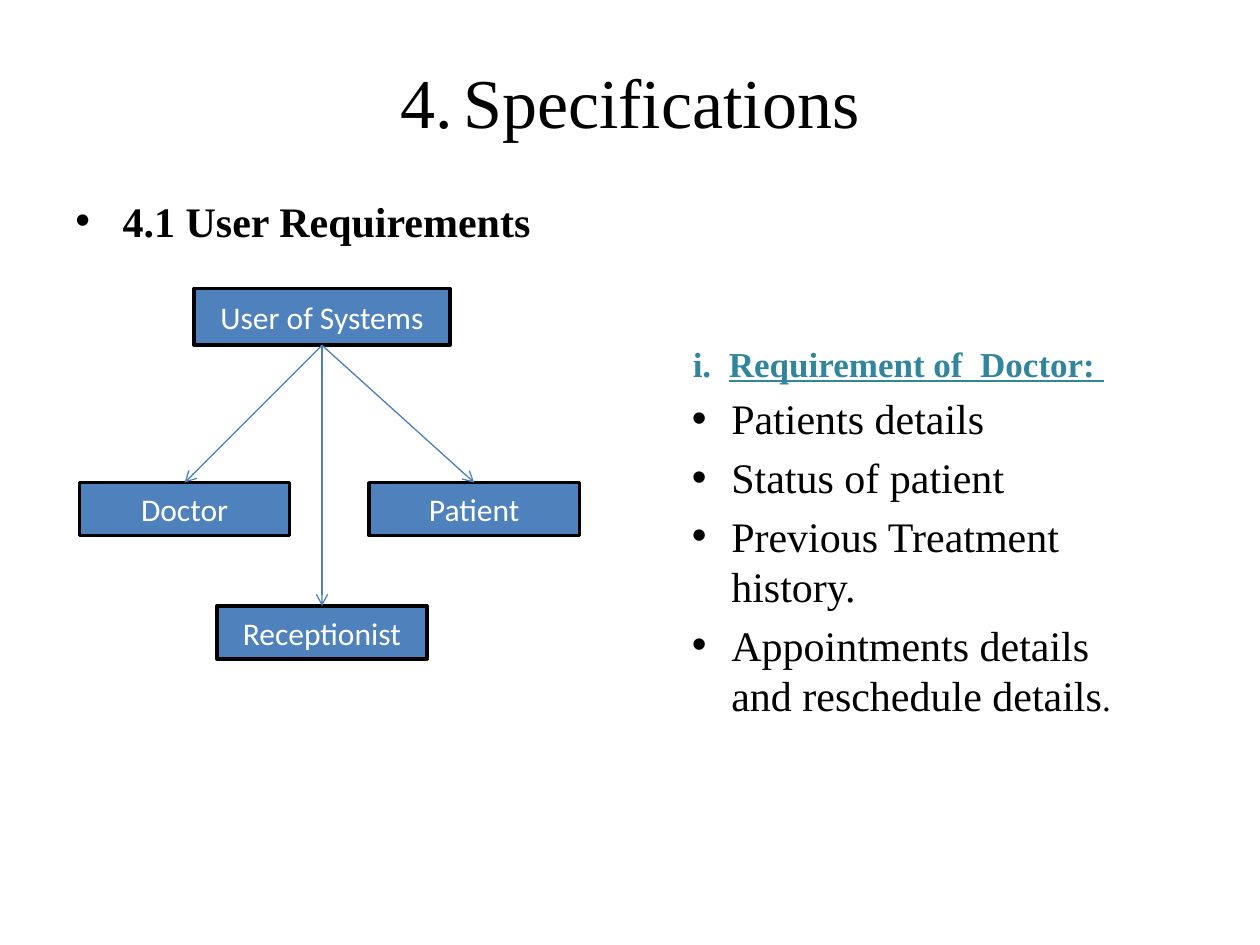
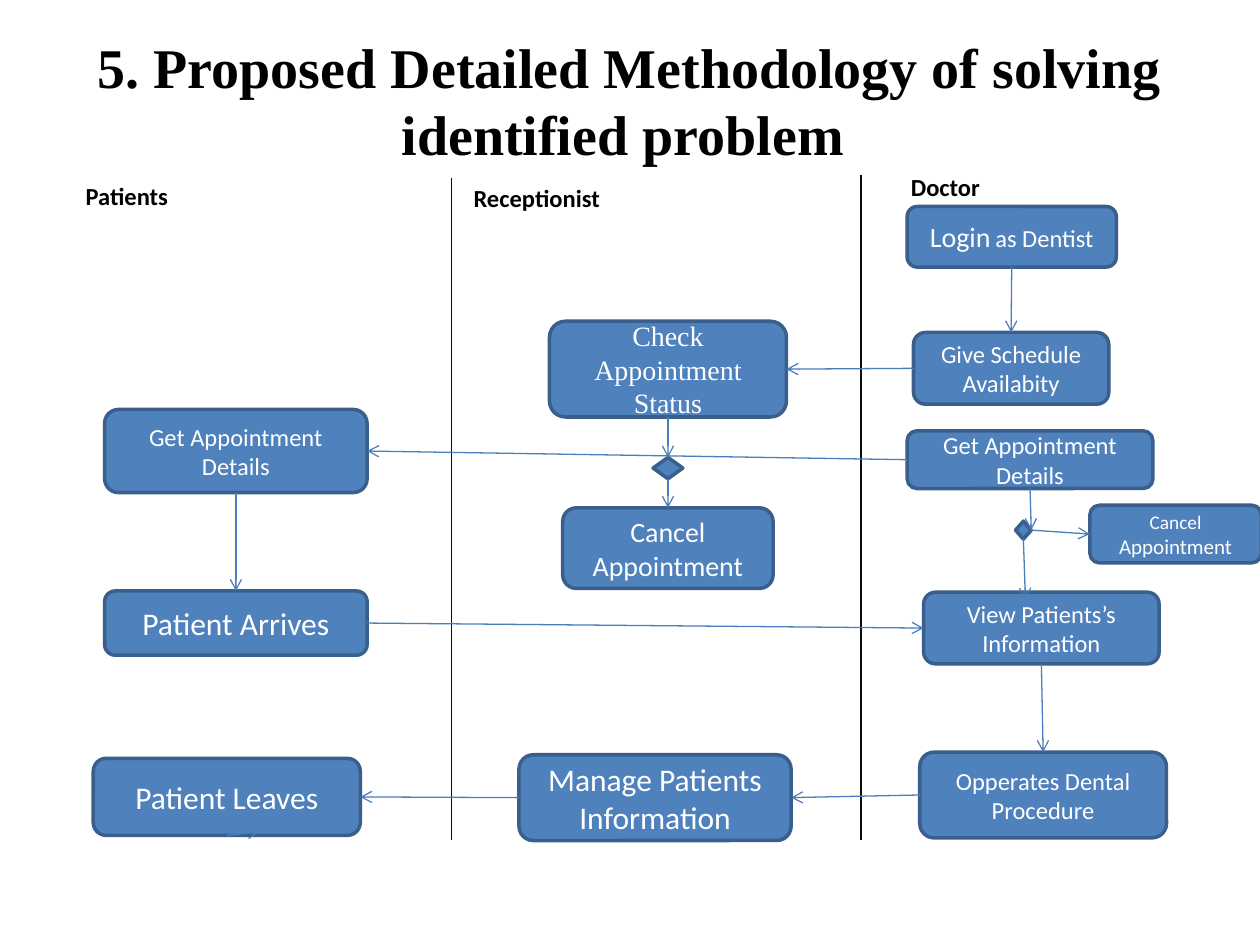
import pptx
import pptx.dml.color
import pptx.enum.shapes
import pptx.enum.text
import pptx.oxml
import pptx.oxml.ns
import pptx.util
from dataclasses import dataclass

Pt = pptx.util.Pt
Kind = pptx.enum.shapes.MSO_SHAPE
Align = pptx.enum.text.PP_ALIGN
Anchor = pptx.enum.text.MSO_ANCHOR
TOP, LEFT, BOTTOM, RIGHT = range(4)


@dataclass(frozen=True)
class Theme:
    fill: str = "4F81BD"
    edge: str = "3A5F8C"
    arrow: str = "4B7EBC"
    rule: str = "0D0D0D"
    black: str = "000000"
    white: str = "FFFFFF"
    teal: str = "31859C"
    serif: str = "Times New Roman"
    sans: str = "Calibri"
    title: int = 40
    long: int = 32
    body: int = 24
    head: int = 20
    big: int = 18
    mid: int = 16
    small: int = 14
    thin: float = 0.75
    thick: float = 2


T = Theme()

# ---- Content: runs are (text, format changes) ----

# Slide 1
SPECS = "4.\tSpecifications"
TOPIC = "4.1 User Requirements"
ROOT = "User of Systems"
USERS = {  # name: (middle x, top)
    "Doctor": (105.5, 275.8),
    "Receptionist": (184, 346.3),
    "Patient": (271, 275.8),
}
NEEDS_HEAD = [("i.\t", {}), ("Requirement of  Doctor: ", {"underline": True})]
NEEDS = [
    [("Patients details", {})],
    [("Status of patient", {})],
    [("Previous Treatment history.", {})],
    [("Appointments details and reschedule details", {}), (".", {"size": T.head})],
]

# Slide 2
METHOD = "5. Proposed Detailed Methodology of solving identified problem "
LANES = [  # label, left, top, width
    ("Patients", 41.8, 100, 62),
    ("Receptionist", 263.5, 100.8, 87),
    ("Doctor", 513.4, 95, 55),
]
RULES = [(258, 102), (492, 100)]  # x, top
RULE_END = 480
STEPS = {  # key: (place, size, runs)
    "login": ((518.4, 118, 119.5, 34.6), T.mid,
              [("Login", {}), (" ", {"size": 12}), ("as Dentist", {"size": T.small})]),
    "give": ((522, 190, 111.6, 41), T.small, [("Give Schedule Availabity", {})]),
    "book": ((518.4, 246.2, 140.4, 33), T.small, [("Get Appointment Details", {})]),
    "check": ((314, 183.6, 135.4, 54.7), T.mid,
              [("Check Appointment Status", {"name": T.serif})]),
    "cancel": ((321.6, 290.2, 120.2, 46), T.mid, [("Cancel Appointment", {})]),
    "manage": ((296.6, 431.3, 155.5, 49), T.big, [("Manage Patients Information", {})]),
    "get": ((59.8, 234, 150, 47.5), T.small, [("Get Appointment Details", {})]),
    "arrive": ((59.8, 337.7, 150, 36.7), T.big, [("Patient Arrives", {})]),
    "drop": ((622.8, 288.7, 98, 33), 12,
             [("Cancel ", {"size": 11}), ("Appointment", {})]),
    "view": ((527.8, 338.4, 134.6, 41), T.small, [("View Patients’s Information", {})]),
    "treat": ((525.6, 429.8, 141, 49), T.small, [("Opperates Dental Procedure", {})]),
    "leave": ((53.3, 433.4, 152.6, 44), T.big, [("Patient Leaves", {})]),
}
FORKS = {"ask": (373.2, 261.4, 17, 12.2), "choose": (580.3, 297.8, 9, 10.3)}
FLOWS = [  # from step, side, to step, side
    ("login", BOTTOM, "give", TOP),
    ("give", LEFT, "check", RIGHT),
    ("check", BOTTOM, "ask", TOP),
    ("ask", BOTTOM, "cancel", TOP),
    ("get", BOTTOM, "arrive", TOP),
    ("arrive", RIGHT, "view", LEFT),
    ("manage", LEFT, "leave", RIGHT),
    ("view", BOTTOM, "treat", TOP),
    ("treat", LEFT, "manage", RIGHT),
    ("book", BOTTOM, "choose", RIGHT),
    ("choose", RIGHT, "drop", LEFT),
    ("book", LEFT, "get", RIGHT),
]
LOOSE = [("choose", (586, 342.7)), ("leave", (148.3, 475.2))]  # from bottom, to point


# ---- Drawing ----

def rgb(code):
    return pptx.dml.color.RGBColor.from_string(code)


def node(xml):
    space = pptx.oxml.ns.nsdecls("a")
    return pptx.oxml.parse_xml(xml.replace("/>", f" {space}/>", 1))


def write(para, runs, base, color, **form):
    """Fill a paragraph with runs that share a base font."""
    for key, value in form.items():
        setattr(para, key, value)
    for text, change in runs:
        run = para.add_run()
        run.text = text
        for key, value in {**base, **change}.items():
            setattr(run.font, key, Pt(value) if key == "size" else value)
        run.font.color.rgb = rgb(color)


def indent(para, left, first, mark=None):
    props = para._p.get_or_add_pPr()
    props.set("marL", str(Pt(left)))
    props.set("indent", str(Pt(first)))
    if mark:
        props.append(node('<a:buFont typeface="Arial"/>'))
        props.append(node(f'<a:buChar char="{mark}"/>'))


def frame(slide, place, wrap=True, anchor=Anchor.TOP):
    box = slide.shapes.add_textbox(*map(Pt, place)).text_frame
    box.word_wrap = wrap
    box.vertical_anchor = anchor
    return box


def title(slide, place, text, **font):
    para = frame(slide, place, anchor=Anchor.MIDDLE).paragraphs[0]
    write(para, [(text, {})], {"name": T.serif, **font}, T.black,
          alignment=Align.CENTER)
    return para


def block(slide, kind, place, edge, size=T.big, runs=()):
    shape = slide.shapes.add_shape(kind, *map(Pt, place))
    shape.shadow.inherit = False
    shape.fill.solid()
    shape.fill.fore_color.rgb = rgb(T.fill)
    shape.line.color.rgb = rgb(edge)
    shape.line.width = Pt(T.thick)
    box = shape.text_frame
    box.word_wrap = True
    box.vertical_anchor = Anchor.MIDDLE
    write(box.paragraphs[0], runs, {"name": T.sans, "size": size}, T.white,
          alignment=Align.CENTER)
    return shape


def stroke(slide, start, end, color):
    line = slide.shapes.add_connector(
        pptx.enum.shapes.MSO_CONNECTOR.STRAIGHT, *map(Pt, start + end))
    line.line.color.rgb = rgb(color)
    line.line.width = Pt(T.thin)
    line._element.spPr.append(node("<a:effectLst/>"))
    return line


def arrow(slide, shape, side, goal, port=None):
    """Join a shape to another shape's port, or to a free point."""
    end = (0, 0) if port is not None else goal
    line = stroke(slide, (0, 0), end, T.arrow)
    line.begin_connect(shape, side)
    if port is not None:
        line.end_connect(goal, port)
    line.line._get_or_add_ln().append(node('<a:tailEnd type="arrow"/>'))


def users(slide):
    para = title(slide, (36, 18, 648, 74.2), SPECS, size=T.title)
    para.line_spacing = 1.1
    indent(para, 36, -36)

    bold = {"name": T.serif, "bold": True}
    para = frame(slide, (36, 108, 648, 383.8)).paragraphs[0]
    write(para, [(TOPIC, {})], {**bold, "size": T.body}, T.black, space_before=Pt(4.8))
    indent(para, 27, -27, "•")

    root = block(slide, Kind.RECTANGLE, (110.9, 164.9, 146.2, 32.4), T.black,
                 runs=[(ROOT, {})])
    wide, high = 120.2, 30.2
    for name, (mid, top) in USERS.items():
        leaf = block(slide, Kind.RECTANGLE, (mid - wide / 2, top, wide, high),
                     T.black, runs=[(name, {})])
        arrow(slide, root, BOTTOM, leaf, TOP)

    box = frame(slide, (383.8, 180, 264.2, 266.4))
    para = box.paragraphs[0]
    write(para, NEEDS_HEAD, {**bold, "size": T.head}, T.teal,
          line_spacing=1.5, space_before=Pt(4))
    indent(para, 25.6, -20.6)
    for runs in NEEDS:
        para = box.add_paragraph()
        write(para, runs, {"name": T.serif, "size": T.body}, T.black,
              space_before=Pt(4.8))
        indent(para, 27, -22.5, "•")


def method(slide):
    title(slide, (36, 17.3, 648, 79.2), METHOD, size=T.long, bold=True)
    for x, top in RULES:
        stroke(slide, (x, top), (x, RULE_END), T.rule)
    for label, x, top, wide in LANES:
        para = frame(slide, (x, top, wide, 24.5), wrap=False).paragraphs[0]
        write(para, [(label, {})], {"name": T.sans, "size": T.small, "bold": True},
              T.black)
    parts = {key: block(slide, Kind.ROUNDED_RECTANGLE, place, T.edge, size, runs)
             for key, (place, size, runs) in STEPS.items()}
    for key, place in FORKS.items():
        parts[key] = block(slide, Kind.DIAMOND, place, T.edge)
    for start, side, end, port in FLOWS:
        arrow(slide, parts[start], side, parts[end], port)
    for start, point in LOOSE:
        arrow(slide, parts[start], BOTTOM, point)


def main():
    deck = pptx.Presentation()
    deck.slide_width, deck.slide_height = Pt(720), Pt(540)
    for draw in (users, method):
        draw(deck.slides.add_slide(deck.slide_layouts[6]))
    deck.save("out.pptx")


if __name__ == "__main__":
    main()
